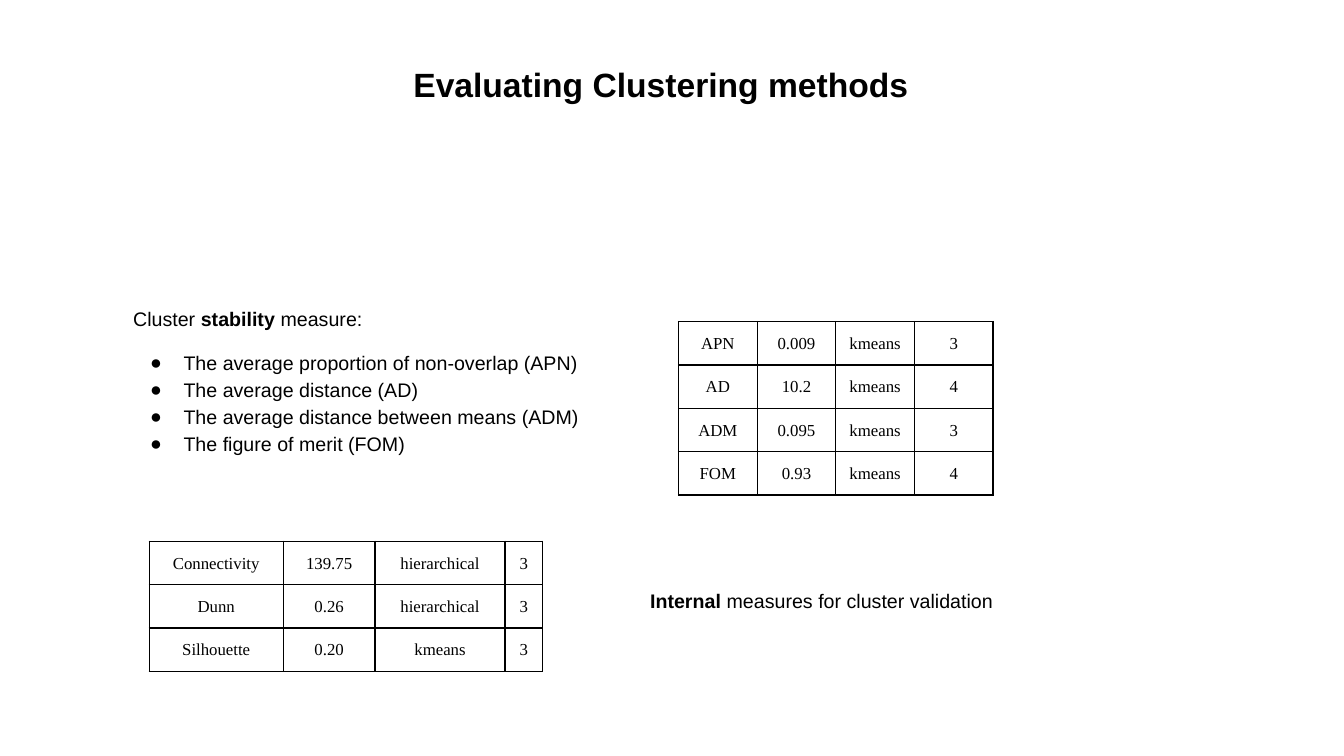
from lxml.etree import SubElement
from pptx import Presentation
from pptx.dml.color import RGBColor
from pptx.enum.text import MSO_ANCHOR as Anchor, MSO_AUTO_SIZE as AutoSize, PP_ALIGN as Align
from pptx.oxml.ns import qn
from pptx.util import Inches, Pt

COLORS = {"ink": "000000"}


class SlideBuilder:
    """Holds the text style and the current slide."""

    heading_font = "Arial"
    table_font = "Times New Roman"

    def __init__(self, deck):
        self.slide = deck.slides.add_slide(deck.slide_layouts[1])

    def place(self, shape, left, top, width, height):
        shape.left, shape.top = Inches(left), Inches(top)
        shape.width, shape.height = Inches(width), Inches(height)

    def style(self, span, size, font, bold=False):
        span.font.size, span.font.name, span.font.bold = Pt(size), font, bold
        span.font.color.rgb = RGBColor.from_string(COLORS["ink"])

    def fill_paragraph(self, para, parts, before=0, after=0):
        """Fill a paragraph with (text, bold) parts."""
        para.line_spacing = 1.15
        para.space_before, para.space_after = Pt(before), Pt(after)
        for text, bold in parts:
            span = para.add_run()
            span.text = text
            self.style(span, 14, self.heading_font, bold)

    def prepare(self, box):
        frame = box.text_frame
        frame.word_wrap = True
        frame.auto_size = AutoSize.SHAPE_TO_FIT_TEXT
        frame.vertical_anchor = Anchor.TOP
        frame.margin_left = frame.margin_right = Inches(0.1)
        frame.margin_top = frame.margin_bottom = Inches(0.1)
        return frame

    def bullet(self, para, char=None):
        props = para._p.get_or_add_pPr()
        props.set("marL", str(Inches(0.5) if char else 0))
        props.set("indent", str(Inches(-0.33) if char else 0))
        if char:
            color = SubElement(props, qn("a:buClr"))
            SubElement(color, qn("a:srgbClr"), val=COLORS["ink"])
            SubElement(props, qn("a:buFont"), typeface=self.heading_font)
            SubElement(props, qn("a:buChar"), char=char)
        else:
            SubElement(props, qn("a:buNone"))

    def title(self, text, *area):
        box = self.slide.shapes.title
        self.place(box, *area)
        frame = box.text_frame
        frame.text = text
        frame.auto_size = AutoSize.NONE
        frame.vertical_anchor = Anchor.MIDDLE
        para = frame.paragraphs[0]
        para.alignment, para.line_spacing = Align.LEFT, 0.8
        self.style(para.runs[0], 24, self.heading_font, True)

    def bullet_list(self, intro, items, *area):
        box = self.slide.placeholders[1]
        self.place(box, *area)
        frame = self.prepare(box)
        self.fill_paragraph(frame.paragraphs[0], intro, before=12)
        self.bullet(frame.paragraphs[0])
        for index, item in enumerate(items):
            para = frame.add_paragraph()
            self.fill_paragraph(para, [(item, False)], before=0 if index else 12)
            self.bullet(para, "●")

    def caption(self, parts, *area):
        box = self.slide.shapes.add_textbox(*map(Inches, area))
        para = self.prepare(box).paragraphs[0]
        self.fill_paragraph(para, parts, before=18, after=4)

    def border(self, cell):
        props = cell._tc.get_or_add_tcPr()
        for side in ("lnL", "lnR", "lnT", "lnB"):
            line = SubElement(props, qn(f"a:{side}"), w=str(Pt(1)))
            fill = SubElement(line, qn("a:solidFill"))
            SubElement(fill, qn("a:srgbClr"), val=COLORS["ink"])

    def table(self, rows, widths, left, top, row_height=0.43):
        frame = self.slide.shapes.add_table(
            len(rows), len(widths), Inches(left), Inches(top),
            Inches(sum(widths)), Inches(row_height * len(rows)))
        grid = frame.table
        grid.first_row = grid.horz_banding = False
        for column, width in zip(grid.columns, widths):
            column.width = Inches(width)
        for row, values in zip(grid.rows, rows):
            row.height = Inches(row_height)
            for cell, value in zip(row.cells, values):
                cell.text = value
                cell.margin_left = cell.margin_right = Inches(0.07)
                cell.margin_top = cell.margin_bottom = Inches(0.1)
                para = cell.text_frame.paragraphs[0]
                para.alignment, para.line_spacing = Align.CENTER, 1.15
                self.style(para.runs[0], 12, self.table_font)
                self.border(cell)
                cell.fill.background()


def main():
    deck = Presentation()
    deck.slide_width, deck.slide_height = Inches(13.33), Inches(7.5)
    page = SlideBuilder(deck)

    # Title
    page.title("Evaluating Clustering methods", 4, 0.5, 5.33, 0.74)

    # Stability measures
    page.bullet_list(
        [("Cluster ", False), ("stability ", True), ("measure:", False)],
        ["The average proportion of non-overlap (APN)",
         "The average distance (AD)",
         "The average distance between means (ADM)",
         "The figure of merit (FOM)"],
        1.22, 2.91, 4.68, 1.69)
    page.table(
        [("APN", "0.009", "kmeans", "3"),
         ("AD", "10.2", "kmeans", "4"),
         ("ADM", "0.095", "kmeans", "3"),
         ("FOM", "0.93", "kmeans", "4")],
        [0.78] * 4, 6.73, 3.19)

    # Internal measures
    page.table(
        [("Connectivity", "139.75", "hierarchical", "3"),
         ("Dunn", "0.26", "hierarchical", "3"),
         ("Silhouette", "0.20", "kmeans", "3")],
        [1.33, 0.91, 1.29, 0.37], 1.48, 5.37)
    page.caption([("Internal ", True), ("measures for cluster validation", False)],
                 6.35, 5.71, 4.86, 0.44)

    deck.save("out.pptx")


if __name__ == "__main__":
    main()
